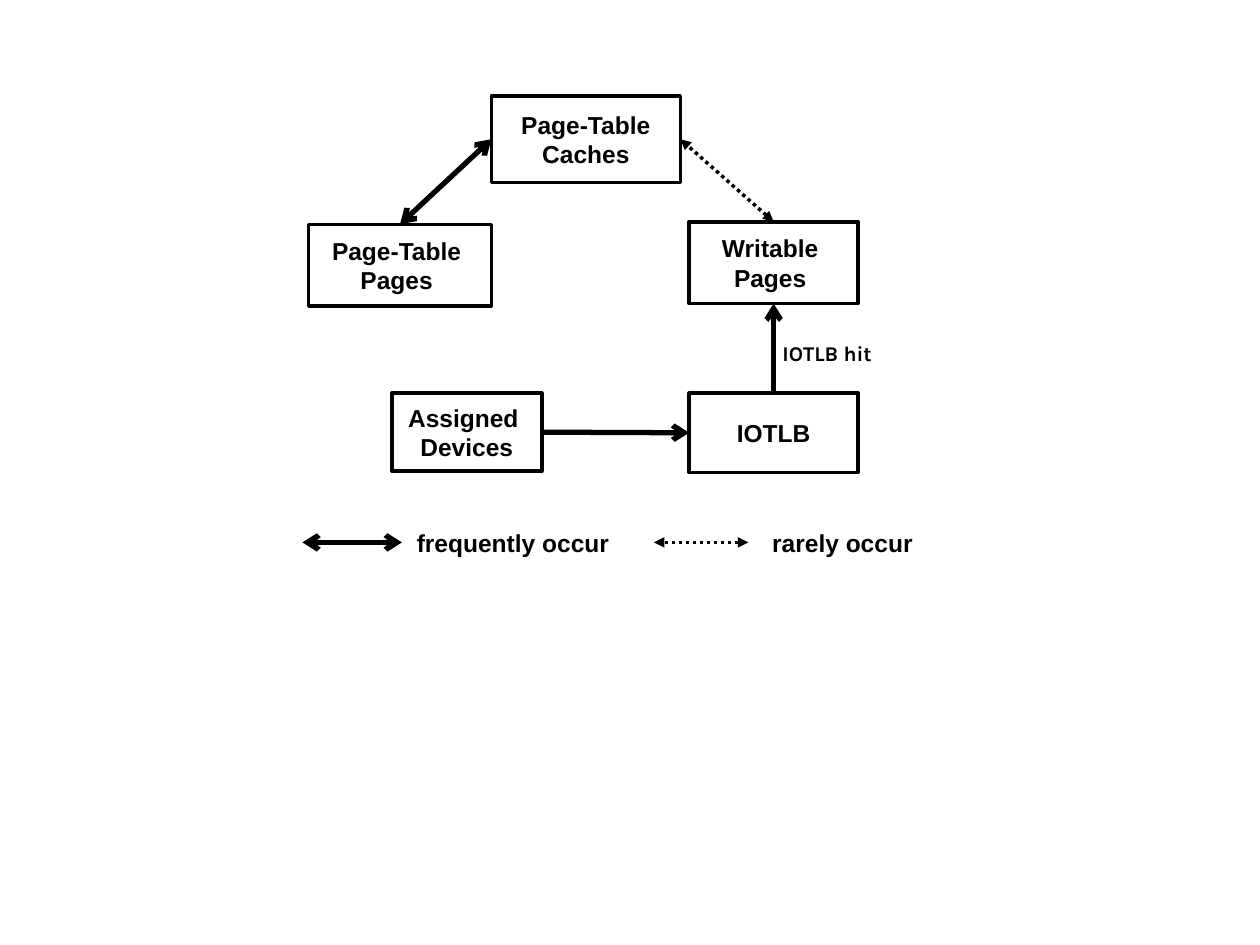
from lxml.etree import SubElement
from pptx import Presentation
from pptx.dml.color import RGBColor
from pptx.enum.dml import MSO_LINE
from pptx.enum.shapes import MSO_CONNECTOR, MSO_SHAPE
from pptx.enum.text import MSO_ANCHOR, PP_ALIGN
from pptx.oxml.ns import qn
from pptx.util import Inches, Pt

COLOURS = {"ink": "000000", "paper": "FFFFFF"}
CELL = Inches(0.1)
TOP, LEFT, BOTTOM, RIGHT = range(4)
LABEL = {"name": "Arial", "size": Pt(14), "bold": True}
NOTE = {"name": "Karla", "size": Pt(12), "bold": True}
FREQUENT = {"width": 3, "head": "arrow", "tail": "arrow"}
ONE_WAY = {"width": 3, "tail": "arrow"}
RARE = {"width": 2, "head": "triangle", "tail": "triangle", "dash": MSO_LINE.ROUND_DOT}

NODES = {
    "writable": ((30.2, 10, 13.4, 6.5), "Writable \nPages "),
    "caches": ((14.5, 0, 15, 6.9), "Page-Table\nCaches"),
    "tables": ((0, 10.2, 14.5, 6.5), "Page-Table \nPages "),
    "devices": ((6.6, 23.6, 11.9, 6.2), "Assigned \nDevices"),
    "iotlb": ((30.2, 23.6, 13.4, 6.3), "IOTLB"),
}
LINKS = [
    ("writable", TOP, "caches", RIGHT, RARE),
    ("caches", LEFT, "tables", TOP, FREQUENT),
    ("devices", RIGHT, "iotlb", LEFT, ONE_WAY),
    ("iotlb", TOP, "writable", BOTTOM, ONE_WAY),
]


def ink(name):
    """Return the named colour."""
    return RGBColor.from_string(COLOURS[name])


def place(box, area):
    """Turn an area in grid cells, relative to a box, into slide lengths."""
    left, top, width, height = area
    cells = (box[0] + left, box[1] + top, width, height)
    return [round(cell * CELL) for cell in cells]


def write(shape, text, style, align=PP_ALIGN.CENTER):
    """Fill a shape with one paragraph for each line of text."""
    frame = shape.text_frame
    settings = {"text": text, "word_wrap": True, "vertical_anchor": MSO_ANCHOR.MIDDLE}
    for name, value in settings.items():
        setattr(frame, name, value)
    for para in frame.paragraphs:
        para.alignment = align
        for span in para.runs:
            span.font.color.rgb = ink("ink")
            for name, value in style.items():
                setattr(span.font, name, value)


def add_node(page, box, area, text):
    """Add an outlined rectangle with a centred label."""
    node = page.shapes.add_shape(MSO_SHAPE.RECTANGLE, *place(box, area))
    node.shadow.inherit = False
    node.fill.background()
    node.line.color.rgb = ink("ink")
    node.line.width = Pt(2)
    write(node, text, LABEL)
    return node


def add_arrow(page, style, ends=(0, 0, 0, 0)):
    """Add a straight line with the arrowheads and dash of its style."""
    arrow = page.shapes.add_connector(MSO_CONNECTOR.STRAIGHT, *ends)
    arrow.line.color.rgb = ink("ink")
    arrow.line.width = Pt(style["width"])
    arrow.line.dash_style = style.get("dash")
    outline = arrow.line._get_or_add_ln()
    for end in ("head", "tail"):
        if end in style:
            SubElement(outline, qn(f"a:{end}End"), type=style[end])
    SubElement(arrow._element.spPr, qn("a:effectLst"))
    return arrow


def add_diagram(page, box):
    """Draw the nodes, the links between them and the hit label."""
    nodes = {name: add_node(page, box, *node) for name, node in NODES.items()}
    for start, start_side, end, end_side, style in LINKS:
        arrow = add_arrow(page, style)
        arrow.begin_connect(nodes[start], start_side)
        arrow.end_connect(nodes[end], end_side)
    note = page.shapes.add_textbox(*place(box, (35.7, 17.3, 10.9, 6.2)))
    write(note, "IOTLB hit", NOTE)


def add_legend(page, box):
    """Draw the key to the two kinds of arrow, its words set on tab stops."""
    key = page.shapes.add_textbox(*place(box, (0, 0, *box[2:])))
    write(key, "\tfrequently occur\trarely occur", LABEL, PP_ALIGN.LEFT)
    stops = SubElement(key.text_frame.paragraphs[0]._p.get_or_add_pPr(), qn("a:tabLst"))
    for column in (8.1, 36.3):
        SubElement(stops, qn("a:tab"), pos=str(round(column * CELL)), algn="l")
    for column, length, style in ((0, 7.9, FREQUENT), (27.9, 7.5, RARE)):
        left, middle, width, _ = place(box, (column, box[3] / 2, length, 0))
        add_arrow(page, style, (left + width, middle, left, middle))


def main():
    """Build the deck and save it."""
    deck = Presentation()
    deck.slide_width, deck.slide_height = 100 * CELL, 75 * CELL
    page = deck.slides.add_slide(deck.slide_layouts[6])
    page.background.fill.solid()
    page.background.fill.fore_color.rgb = ink("paper")
    add_diagram(page, (24.5, 7.6, 46.6, 29.9))
    add_legend(page, (24, 39.1, 49.6, 7.9))
    deck.save("out.pptx")


if __name__ == "__main__":
    main()
